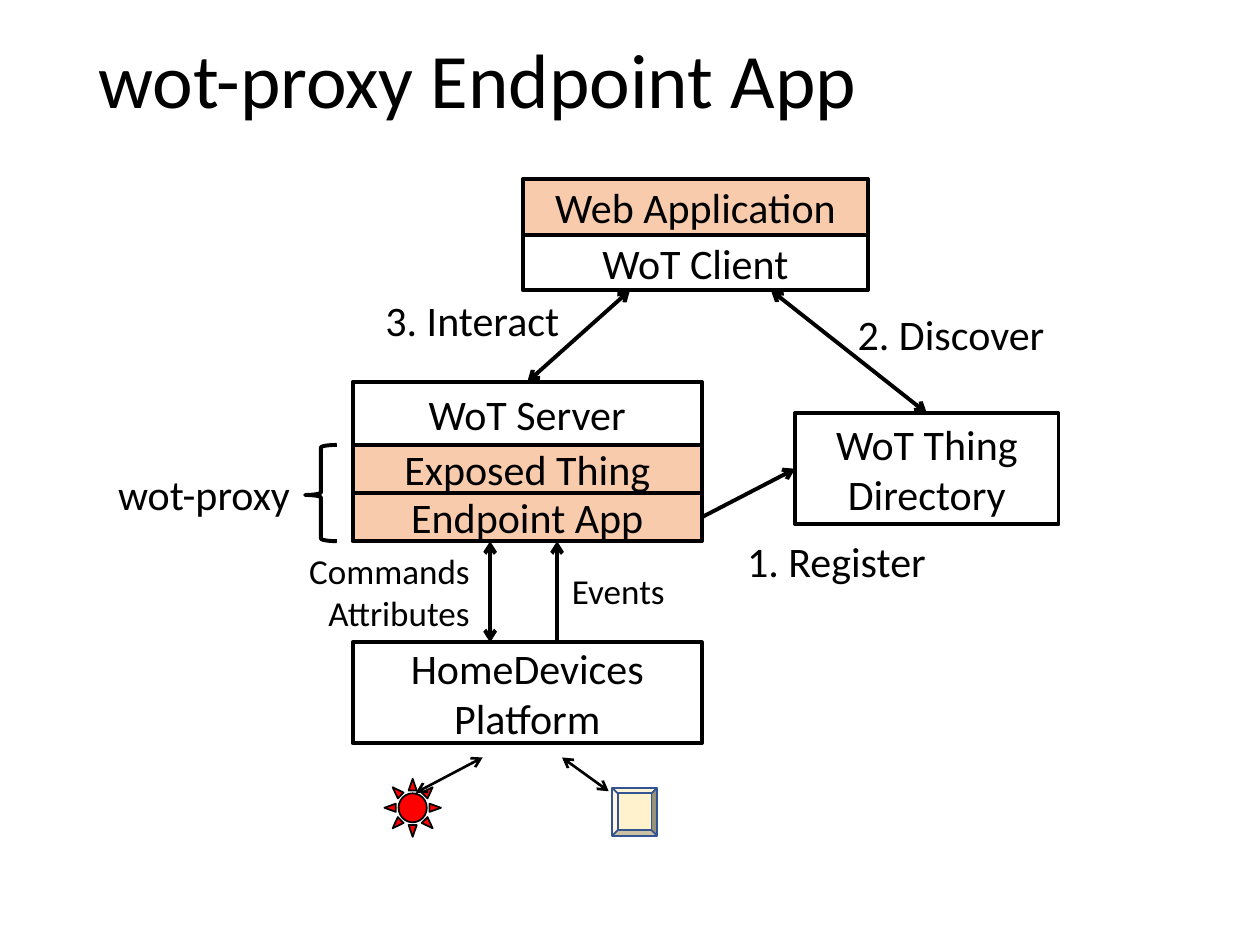
from lxml import etree
from pptx import Presentation
from pptx.dml.color import RGBColor
from pptx.enum.shapes import MSO_CONNECTOR, MSO_SHAPE as SHAPE
from pptx.enum.text import MSO_ANCHOR as ANCHOR, MSO_AUTO_SIZE as FIT, PP_ALIGN as ALIGN
from pptx.oxml.ns import qn
from pptx.util import Cm, Pt

FONT = "Calibri"
COLORS = {"ink": "000000", "app": "F8CBAD", "lamp": "FF0000",
          "switch": "FFF2CC", "switch_line": "325491"}
TOP, LEFT, RIGHT = 0, 1, 3  # connection sites of a rectangle

TITLE = "wot-proxy Endpoint App"

# left, top, width, then rows of (text, height, fill) stacked without gaps
STACKS = [
    (10.54, 3.61, 6.96, [("Web Application", 1.12, "app"), ("WoT Client", 1.12, None)]),
    (7.11, 7.7, 7.04, [("WoT Server", 1.27, None), ("Exposed Thing", 0.97, "app"),
                       ("Endpoint App", 0.97, "app")]),
    (7.11, 12.95, 7.04, [("HomeDevices Platform", 2.03, None)]),
    (16.03, 8.33, 5.31, [("WoT Thing Directory", 2.24, None)]),
]

# paragraphs, left, top, width, height, size, alignment
LABELS = [
    (["wot-proxy"], 2.13, 9.32, 4.01, 1.27, 24, ALIGN.LEFT),
    (["1. Register"], 14.81, 10.67, 4.14, 1.27, 24, ALIGN.LEFT),
    (["2. Discover"], 17.04, 6.1, 4.32, 1.27, 24, ALIGN.LEFT),
    (["3. Interact"], 7.52, 5.82, 4.17, 1.27, 24, ALIGN.LEFT),
    (["Commands", "Attributes"], 5.94, 10.95, 3.78, 1.96, 20, ALIGN.RIGHT),
    (["Events"], 11.28, 11.35, 2.41, 1.12, 20, ALIGN.LEFT),
]

# each end is a point or a (box, site) pair; then arrowheads and line width
ARROWS = [
    ((11.23, 10.91), (11.23, 12.95), ["head"], 2.25),
    ((9.88, 10.91), (9.88, 12.95), ["head", "tail"], 2.25),
    (("WoT Thing Directory", LEFT), ("Endpoint App", RIGHT), ["head"], 2.25),
    ((12.7, 5.85), ("WoT Server", TOP), ["head", "tail"], 2.25),
    ((15.54, 5.85), ("WoT Thing Directory", TOP), ["head", "tail"], 2.25),
    ((9.73, 15.27), (8.38, 15.98), ["head", "tail"], 1.5),
    ((11.33, 15.27), (12.27, 15.95), ["head", "tail"], 1.5),
]

# preset, left, top, width, height, fill, line, line width
SYMBOLS = [
    (SHAPE.LEFT_BRACE, 6.15, 8.97, 0.64, 1.94, None, "ink", 2.25),
    (SHAPE.SUN, 7.75, 15.7, 1.14, 1.17, "lamp", "ink", 1),
    (SHAPE.BEVEL, 12.34, 15.88, 0.91, 0.97, "switch", "switch_line", 1),
]


def rgb(name):
    return RGBColor.from_string(COLORS[name])


def write(tf, lines, size, align):
    for i, line in enumerate(lines):
        p = tf.add_paragraph() if i else tf.paragraphs[0]
        p.text = line
        p.alignment = align
        p.font.name, p.font.size = FONT, Pt(size)
        p.font.color.rgb = rgb("ink")


def add_shape(slide, preset, box, fill, line, width):
    s = slide.shapes.add_shape(preset, *map(Cm, box))
    s.shadow.inherit = False
    if fill:
        s.fill.solid()
        s.fill.fore_color.rgb = rgb(fill)
    else:
        s.fill.background()
    s.line.color.rgb = rgb(line)
    s.line.width = Pt(width)
    return s


def add_text(slide, lines, box, size, align):
    tf = slide.shapes.add_textbox(*map(Cm, box)).text_frame
    write(tf, lines, size, align)
    return tf


def add_arrow(slide, boxes, start, end, heads, width):
    c = slide.shapes.add_connector(MSO_CONNECTOR.STRAIGHT, 0, 0, 0, 0)
    if start[0] in boxes:
        c.begin_connect(boxes[start[0]], start[1])
    else:
        c.begin_x, c.begin_y = map(Cm, start)
    if end[0] in boxes:
        c.end_connect(boxes[end[0]], end[1])
    else:
        c.end_x, c.end_y = map(Cm, end)
    c.line.color.rgb = rgb("ink")
    c.line.width = Pt(width)
    ln = c.line._get_or_add_ln()
    for head in heads:
        etree.SubElement(ln, qn(f"a:{head}End"), type="arrow")
    etree.SubElement(c._element.spPr, qn("a:effectLst"))


def main():
    prs = Presentation()
    prs.slide_width, prs.slide_height = Cm(25.4), Cm(19.05)
    slide = prs.slides.add_slide(prs.slide_layouts[6])

    tf = add_text(slide, [TITLE], (1.73, -0.15, 21.9, 3.68), 44, ALIGN.LEFT)
    tf.word_wrap = True
    tf.vertical_anchor = ANCHOR.MIDDLE
    tf.paragraphs[0].line_spacing = 0.9

    boxes = {}
    for left, top, width, rows in STACKS:
        for text, height, fill in rows:
            s = add_shape(slide, SHAPE.RECTANGLE, (left, top, width, height), fill, "ink", 2.25)
            s.text_frame.vertical_anchor = ANCHOR.MIDDLE
            write(s.text_frame, [text], 24, ALIGN.CENTER)
            boxes[text] = s
            top += height

    for preset, left, top, width, height, *style in SYMBOLS:
        s = add_shape(slide, preset, (left, top, width, height), *style)
        if preset == SHAPE.LEFT_BRACE:
            s.adjustments[1] = 0.52

    for arrow in ARROWS:
        add_arrow(slide, boxes, *arrow)

    for lines, left, top, width, height, size, align in LABELS:
        tf = add_text(slide, lines, (left, top, width, height), size, align)
        tf.word_wrap = False
        tf.auto_size = FIT.SHAPE_TO_FIT_TEXT

    prs.save("out.pptx")


if __name__ == "__main__":
    main()
